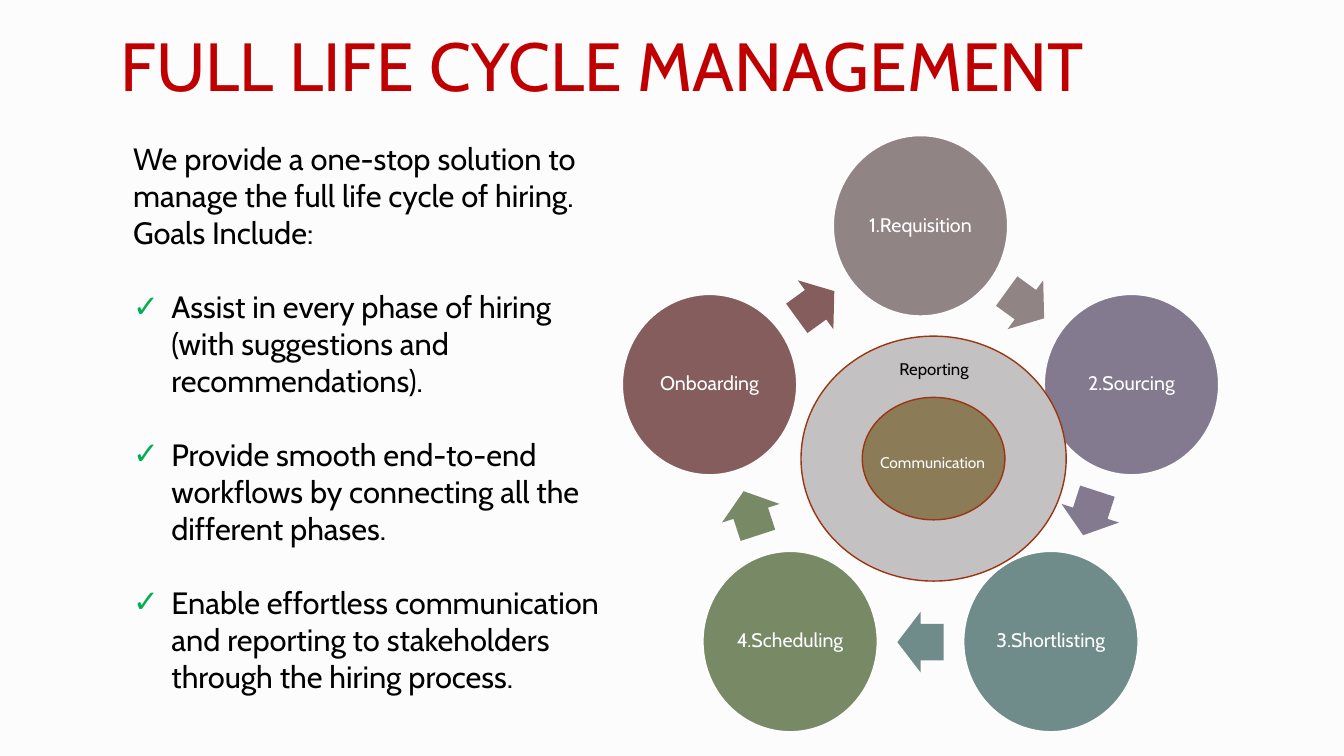
from math import cos, radians, sin

from lxml import etree
from pptx import Presentation
from pptx.dml.color import RGBColor
from pptx.enum.shapes import MSO_SHAPE
from pptx.enum.text import MSO_ANCHOR, MSO_AUTO_SIZE, PP_ALIGN
from pptx.oxml.ns import qn
from pptx.util import Inches, Pt

FONT = "Cabin"
PAPER = RGBColor(0xFC, 0xFC, 0xFC)
WHITE = RGBColor(0xFF, 0xFF, 0xFF)
BLACK = RGBColor(0, 0, 0)
RED = RGBColor(0xC0, 0, 0)
GREEN = RGBColor(0, 0xB0, 0x50)
RUST = RGBColor(0x9C, 0x35, 0x11)
GRAY = RGBColor(0xC3, 0xC1, 0xC1)
OCHRE = RGBColor(0x8B, 0x7B, 0x57)

PHASES = [
    ("1.Requisition", RGBColor(0x91, 0x84, 0x85)),
    ("2.Sourcing", RGBColor(0x83, 0x7A, 0x8F)),
    ("3.Shortlisting", RGBColor(0x6F, 0x8C, 0x8B)),
    ("4.Scheduling", RGBColor(0x78, 0x89, 0x66)),
    ("Onboarding", RGBColor(0x85, 0x5D, 0x5D)),
]
INTRO = ("We provide a one-stop solution to manage the full life cycle "
         "of hiring. Goals Include:")
GOALS = [
    "Assist in every phase of hiring (with suggestions and recommendations).",
    "Provide smooth end-to-end workflows by connecting all the different phases.",
    "Enable effortless communication and reporting to stakeholders through "
    "the hiring process.",
]

# Centre of the cycle, in inches
MID_X, MID_Y = 9.13, 4.52


def place(shape, left, top, width, height):
    shape.left, shape.top = Inches(left), Inches(top)
    shape.width, shape.height = Inches(width), Inches(height)


def style(para, size, color, align=PP_ALIGN.LEFT, spacing=1.0):
    para.alignment = align
    para.line_spacing = spacing
    para.space_before = para.space_after = Pt(0)
    for run in para.runs:
        run.font.name = FONT
        run.font.size = Pt(size)
        run.font.color.rgb = color


def label(shape, text, size, color, spacing=1.0):
    frame = shape.text_frame
    frame.word_wrap = True
    frame.vertical_anchor = MSO_ANCHOR.MIDDLE
    frame.margin_left = frame.margin_right = Inches(0.02)
    frame.margin_top = frame.margin_bottom = Inches(0.02)
    frame.text = text
    style(frame.paragraphs[0], size, color, PP_ALIGN.CENTER, spacing)


def add_form(slide, kind, x, y, width, height, fill, line=None):
    """Add a flat preset shape centred on x, y."""
    form = slide.shapes.add_shape(
        kind, Inches(x - width / 2), Inches(y - height / 2),
        Inches(width), Inches(height))
    form.shadow.inherit = False
    form.fill.solid()
    form.fill.fore_color.rgb = fill
    if line is None:
        form.line.fill.background()
    else:
        form.line.color.rgb = line
        form.line.width = Pt(1)
    return form


def orbit(angle, wide, high):
    """Point on the cycle, clockwise from the top."""
    turn = radians(angle)
    return MID_X + wide * sin(turn), MID_Y - high * cos(turn)


def set_bullet(para, char=None):
    props = para._p.get_or_add_pPr()
    indent = Inches(0.38) if char else 0
    props.set("marL", str(indent))
    props.set("indent", str(-indent))
    if char is None:
        etree.SubElement(props, qn("a:buNone"))
        return
    tint = etree.SubElement(props, qn("a:buClr"))
    etree.SubElement(tint, qn("a:srgbClr")).set("val", str(GREEN))
    etree.SubElement(props, qn("a:buChar")).set("char", char)


def fill_title(title):
    place(title, 1.1, 0.21, 10.5, 0.95)
    frame = title.text_frame
    frame.text = "FULL LIFE CYCLE MANAGEMENT"
    frame.auto_size = MSO_AUTO_SIZE.NONE
    frame.vertical_anchor = MSO_ANCHOR.MIDDLE
    style(frame.paragraphs[0], 48.6, RED, spacing=0.9)


def fill_goals(body):
    place(body, 1.22, 1.34, 4.97, 6.02)
    frame = body.text_frame
    frame.auto_size = MSO_AUTO_SIZE.NONE
    frame.vertical_anchor = MSO_ANCHOR.TOP
    frame.text = "\n".join([INTRO] + GOALS)
    for i, para in enumerate(frame.paragraphs):
        style(para, 22, BLACK)
        if i:
            para.space_before = Pt(26.4)
        set_bullet(para, "✓" if i else None)


def add_cycle(slide):
    step = 360 / len(PHASES)
    for i, (name, color) in enumerate(PHASES):
        x, y = orbit(i * step, 2.2, 2.28)
        disc = add_form(slide, MSO_SHAPE.OVAL, x, y, 1.73, 1.79, color, WHITE)
        label(disc, name, 14, WHITE, 0.9)

        # Arrow halfway to the next phase
        angle = (i + 0.5) * step
        x, y = orbit(angle, 1.77, 1.85)
        arrow = add_form(slide, MSO_SHAPE.RIGHT_ARROW, x, y, 0.46, 0.6, color)
        arrow.adjustments[0] = 0.6
        arrow.adjustments[1] = 0.5
        arrow.rotation = angle


def add_core(slide):
    hub = add_form(slide, MSO_SHAPE.FLOWCHART_CONNECTOR,
                   9.25, 4.59, 1.82, 1.76, OCHRE, RUST)
    label(hub, "Communication", 11, WHITE)
    add_form(slide, MSO_SHAPE.DONUT, 9.26, 4.55, 2.63, 2.43, GRAY, RUST)
    box = slide.shapes.add_textbox(
        Inches(8.61), Inches(3.51), Inches(1.31), Inches(0.3))
    label(box, "Reporting", 12, BLACK)


def main():
    deck = Presentation()
    deck.slide_width, deck.slide_height = Inches(13.33), Inches(7.5)
    slide = deck.slides.add_slide(deck.slide_layouts[1])
    slide.background.fill.solid()
    slide.background.fill.fore_color.rgb = PAPER

    # Heading and goals
    fill_title(slide.shapes.title)
    fill_goals(slide.placeholders[1])

    # Hiring cycle
    add_cycle(slide)
    add_core(slide)
    deck.save("out.pptx")


if __name__ == "__main__":
    main()
